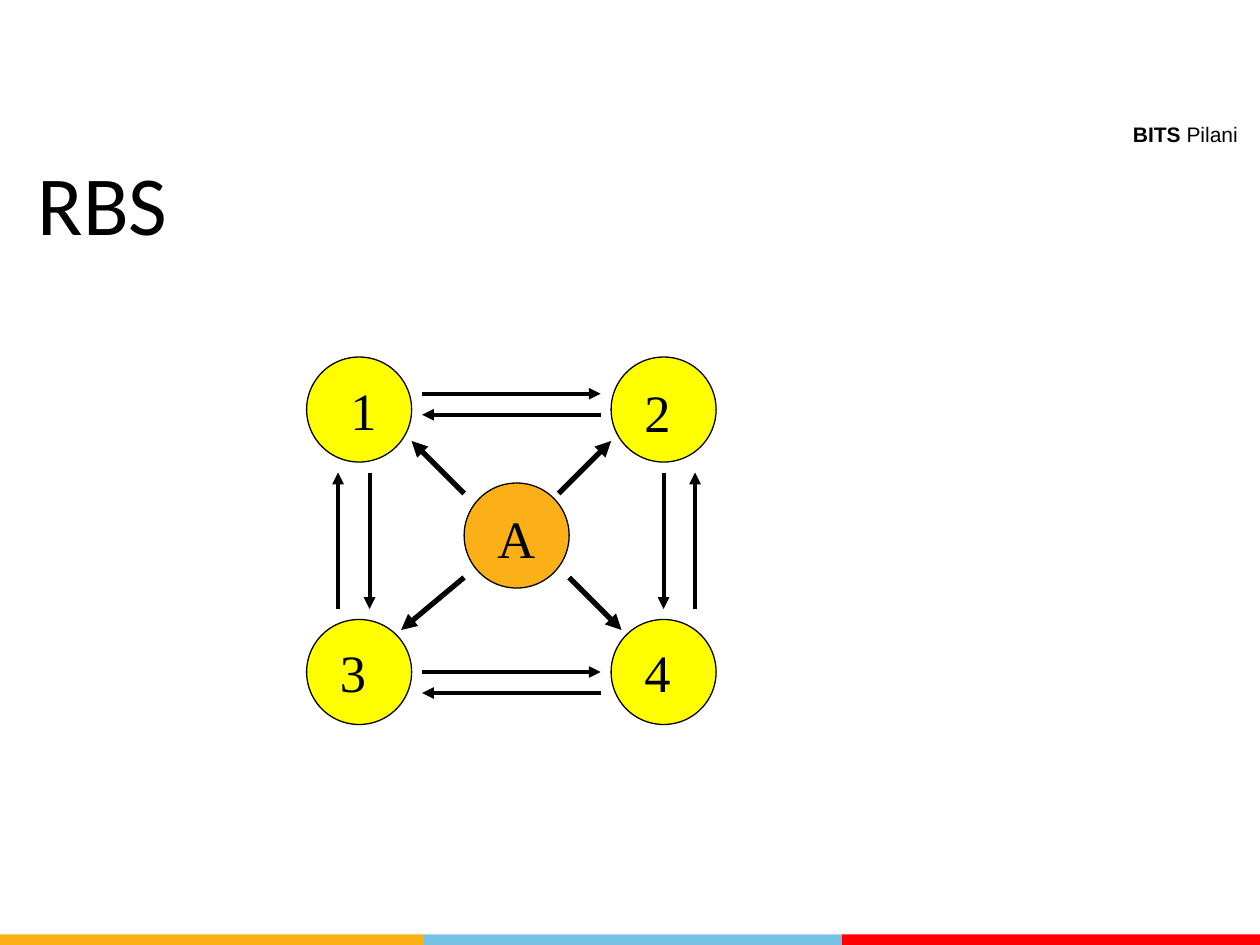
import dataclasses

import lxml.etree
import pptx
import pptx.dml.color
import pptx.enum.shapes
import pptx.enum.text
import pptx.oxml.ns
import pptx.util

SHAPE = pptx.enum.shapes.MSO_SHAPE
ALIGN = pptx.enum.text.PP_ALIGN
ANCHOR = pptx.enum.text.MSO_ANCHOR


@dataclasses.dataclass(frozen=True)
class Theme:
    """Colours, fonts and point sizes."""
    ink: str = "000000"
    orange: str = "FCB017"
    blue: str = "76C2E5"
    red: str = "FF0000"
    yellow: str = "FFFF00"
    title_font: str = "Calibri"
    brand_font: str = "Arial"
    node_font: str = "Times New Roman"
    title_size: int = 48
    brand_size: int = 12
    node_size: int = 30
    outline: float = 0.75
    exchange: float = 2.25
    broadcast: float = 3


@dataclasses.dataclass(frozen=True)
class Box:
    """A region in grid cells, twelve cells to the inch."""
    left: float
    top: float
    width: float
    height: float

    def within(self, left, top, width, height):
        """Return a box placed relative to this one."""
        return Box(self.left + left, self.top + top, width, height)

    def lengths(self):
        """Return left, top, width and height as slide lengths."""
        return [cells(n) for n in (self.left, self.top, self.width, self.height)]


THEME = Theme()


def cells(count):
    """Convert grid cells to a length."""
    return pptx.util.Inches(count / 12)


def colour(code):
    """Return an RGB colour."""
    return pptx.dml.color.RGBColor.from_string(code)


def add_span(para, text, font, size, bold=False):
    """Add one formatted run."""
    span = para.add_run()
    span.text = text
    span.font.name = font
    span.font.size = pptx.util.Pt(size)
    span.font.bold = bold
    span.font.color.rgb = colour(THEME.ink)


def add_filled(shapes, kind, box, fill, outlined=False):
    """Add a flat filled shape."""
    shape = shapes.add_shape(kind, *box.lengths())
    shape.shadow.inherit = False
    shape.fill.solid()
    shape.fill.fore_color.rgb = colour(fill)
    if outlined:
        shape.line.color.rgb = colour(THEME.ink)
        shape.line.width = pptx.util.Pt(THEME.outline)
    else:
        shape.line.fill.background()


def add_arrow(shapes, box, start, end, weight):
    """Add an arrow between two grid points of a box."""
    points = [cells(n) for x, y in (start, end) for n in (box.left + x, box.top + y)]
    arrow = shapes.add_connector(pptx.enum.shapes.MSO_CONNECTOR.STRAIGHT, *points)
    arrow.line.color.rgb = colour(THEME.ink)
    arrow.line.width = pptx.util.Pt(weight)
    name = pptx.oxml.ns.qn
    lxml.etree.SubElement(arrow.line._get_or_add_ln(), name("a:tailEnd"), type="triangle")
    lxml.etree.SubElement(arrow._element.spPr, name("a:effectLst"))


def add_stripe(page, box):
    """Draw the three-colour footer stripe."""
    shapes = page.shapes.add_group_shape().shapes
    left = 0
    for fill, width in ((THEME.orange, 40.4), (THEME.blue, 39.8), (THEME.red, 39.8)):
        add_filled(shapes, SHAPE.RECTANGLE, box.within(left, 0, width, box.height), fill)
        left += width


def add_brand(page, box):
    """Write the university name."""
    frame = page.shapes.add_textbox(*box.lengths()).text_frame
    frame.word_wrap = True
    para = frame.paragraphs[0]
    para.alignment = ALIGN.CENTER
    add_span(para, "BITS", THEME.brand_font, THEME.brand_size, True)
    add_span(para, " Pilani", THEME.brand_font, THEME.brand_size)


def add_title(page, box):
    """Place and write the title."""
    title = page.shapes.title
    title.left, title.top, title.width, title.height = box.lengths()
    frame = title.text_frame
    frame.word_wrap = True
    frame.auto_size = pptx.enum.text.MSO_AUTO_SIZE.NONE
    frame.vertical_anchor = ANCHOR.BOTTOM
    frame.margin_left = frame.margin_right = pptx.util.Inches(0.1)
    frame.margin_top = frame.margin_bottom = pptx.util.Inches(0.1)
    frame.paragraphs[0].alignment = ALIGN.LEFT
    add_span(frame.paragraphs[0], "RBS", THEME.title_font, THEME.title_size)


def add_node(shapes, box, text, fill, label_left, label_top):
    """Draw a circle with its label."""
    add_filled(shapes, SHAPE.FLOWCHART_CONNECTOR, box, fill, True)
    label = box.within(label_left, label_top, 6, 7.2)
    frame = shapes.add_textbox(*label.lengths()).text_frame
    frame.word_wrap = True
    frame.margin_top = pptx.util.Inches(0.1)
    frame.margin_bottom = 0
    add_span(frame.paragraphs[0], text, THEME.node_font, THEME.node_size)


def add_network(page, box):
    """Draw the beacon, its receivers and their exchanges."""
    nodes = page.shapes.add_group_shape().shapes
    for text, left, top, fill, label_left, label_top in (
        ("A", 15, 12, THEME.orange, 2, 1),
        ("1", 0, 0, THEME.yellow, 3, 0.8),
        ("2", 29, 0, THEME.yellow, 2, 1),
        ("3", 0, 25, THEME.yellow, 2, 0.8),
        ("4", 29, 25, THEME.yellow, 2, 0.8),
    ):
        add_node(nodes, box.within(left, top, 10, 10), text, fill, label_left, label_top)

    broadcasts = page.shapes.add_group_shape().shapes
    for start, end in (
        ((25, 21), (30, 26)),
        ((15, 13), (10, 8)),
        ((15, 21), (9, 26)),
        ((24, 13), (29, 8)),
    ):
        add_arrow(broadcasts, box, start, end, THEME.broadcast)

    for right_row, left_row in ((3.5, 5.5), (30, 32)):
        add_arrow(page.shapes, box, (11, right_row), (28, right_row), THEME.exchange)
        add_arrow(page.shapes, box, (28, left_row), (11, left_row), THEME.exchange)
    for down_column, up_column in ((6, 3), (34, 37)):
        add_arrow(page.shapes, box, (down_column, 11), (down_column, 24), THEME.exchange)
        add_arrow(page.shapes, box, (up_column, 24), (up_column, 11), THEME.exchange)


def main():
    """Build and save the deck."""
    deck = pptx.Presentation()
    deck.slide_width, deck.slide_height = cells(120), cells(90)
    page = deck.slides.add_slide(deck.slide_layouts[5])
    add_stripe(page, Box(0, 89, 120, 1))
    add_brand(page, Box(106.2, 11, 13.4, 3.5))
    add_title(page, Box(2.4, 4.8, 100.9, 20.4))
    add_network(page, Box(29.2, 34, 39, 35))
    deck.save("out.pptx")


if __name__ == "__main__":
    main()
